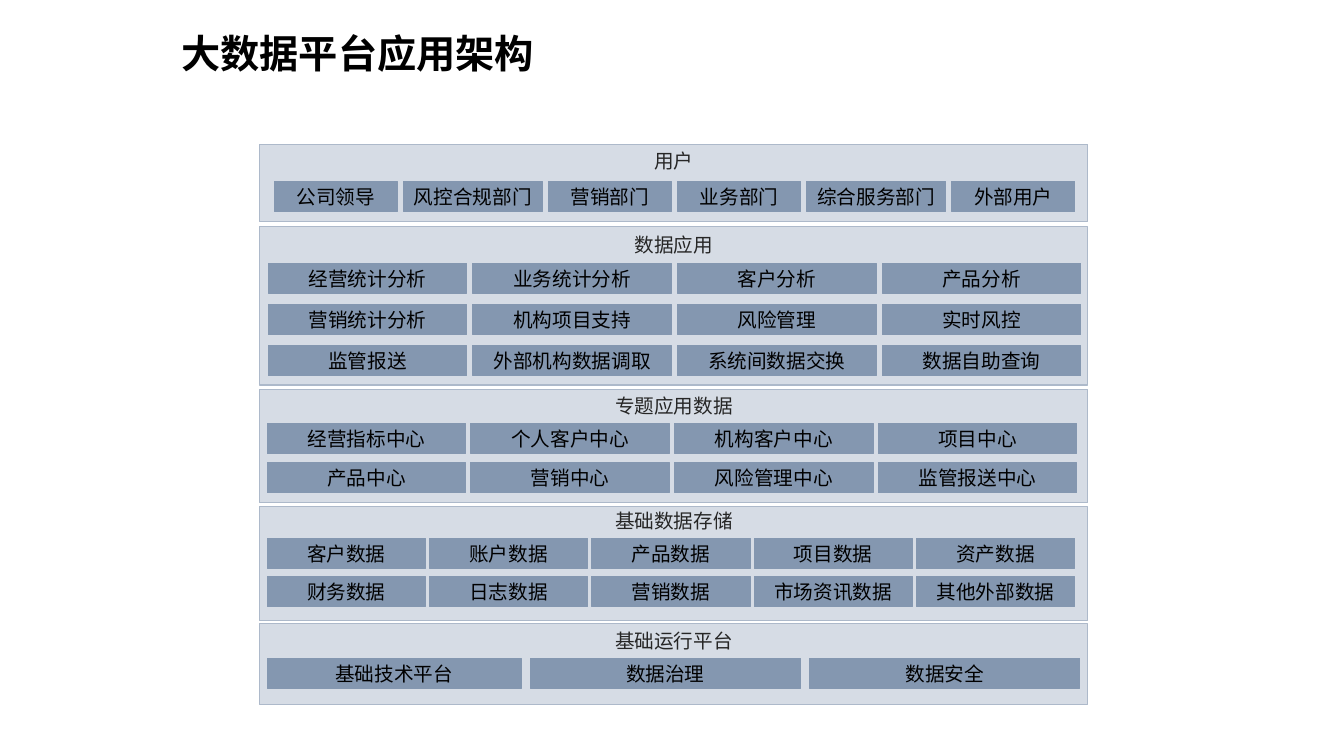
from dataclasses import dataclass

from lxml import etree
from pptx import Presentation
from pptx import util as u
from pptx.dml.color import RGBColor
from pptx.enum import shapes, text
from pptx.oxml import ns

FONT = "Noto Sans CJK SC"
BLACK = RGBColor(0x00, 0x00, 0x00)
DARK = RGBColor(0x26, 0x26, 0x26)
PALE = RGBColor(0xD6, 0xDC, 0xE5)
EDGE = RGBColor(0xAD, 0xB9, 0xCA)
STEEL = RGBColor(0x84, 0x97, 0xB0)

WIDE, HIGH = 13.33, 7.5
LEFT, SPAN = 2.57, 8.22
CELL = 0.3
HEAD = 0.34
MID = 6.685

TITLE = dict(size=u.Pt(28), bold=True)
BODY = dict(size=u.Pt(14), bold=False)


@dataclass(frozen=True)
class Band:
    name: str
    top: float
    high: float
    label: float
    left: float
    gap: float
    first: float
    pitch: float
    cols: tuple[float, ...]
    rows: tuple[str, ...]


BANDS = (
    Band("用户", 1.43, 0.77, 1.43, 2.72, 0.06, 1.8, 0,
         (1.22, 1.38, 1.22, 1.22, 1.38, 1.22),
         ("公司领导 风控合规部门 营销部门 业务部门 综合服务部门 外部用户",)),
    Band("数据应用", 2.25, 1.57, 2.26, 2.66, 0.06, 2.61, 0.41, (1.97,) * 4,
         ("经营统计分析 业务统计分析 客户分析 产品分析",
          "营销统计分析 机构项目支持 风险管理 实时风控",
          "监管报送 外部机构数据调取 系统间数据交换 数据自助查询")),
    Band("专题应用数据", 3.86, 1.13, 3.86, 2.65, 0.05, 4.2, 0.39, (1.97,) * 4,
         ("经营指标中心 个人客户中心 机构客户中心 项目中心",
          "产品中心 营销中心 风险管理中心 监管报送中心")),
    Band("基础数据存储", 5.03, 1.13, 5.0, 2.65, 0.04, 5.34, 0.38, (1.57,) * 5,
         ("客户数据 账户数据 产品数据 项目数据 资产数据",
          "财务数据 日志数据 营销数据 市场资讯数据 其他外部数据")),
    Band("基础运行平台", 6.19, 0.8, 6.19, 2.65, 0.09, 6.53, 0,
         (2.52, 2.68, 2.68), ("基础技术平台 数据治理 数据安全",)),
)


def write(shape, words: str, color: RGBColor, style: dict, align, anchor) -> None:
    frame = shape.text_frame
    frame.word_wrap = True
    frame.vertical_anchor = anchor
    para = frame.paragraphs[0]
    para.alignment = align
    run = para.add_run()
    run.text = words
    for key, val in dict(style, name=FONT).items():
        setattr(run.font, key, val)
    run.font.color.rgb = color
    east = etree.SubElement(run.font._element, ns.qn("a:ea"))
    east.set("typeface", FONT)


def block(group, x: float, y: float, w: float, h: float,
          fill: RGBColor, edge: RGBColor):
    box = group.shapes.add_shape(
        shapes.MSO_SHAPE.RECTANGLE, *map(u.Inches, (x, y, w, h)))
    box.shadow.inherit = False
    box.fill.solid()
    box.fill.fore_color.rgb = fill
    box.line.color.rgb = edge
    box.line.width = u.Pt(0.75)
    return box


def draw(slide, band: Band) -> None:
    group = slide.shapes.add_group_shape()
    block(group, LEFT, band.top, SPAN, band.high, PALE, EDGE)
    wide = 0.2 + len(band.name) * 0.28
    label = group.shapes.add_textbox(
        *map(u.Inches, (MID - wide / 2, band.label, wide, HEAD)))
    write(label, band.name, DARK, BODY,
          text.PP_ALIGN.CENTER, text.MSO_ANCHOR.TOP)
    for row, line in enumerate(band.rows):
        x = band.left
        for wide, words in zip(band.cols, line.split()):
            cell = block(group, x, band.first + row * band.pitch,
                         wide, CELL, STEEL, STEEL)
            write(cell, words, BLACK, BODY,
                  text.PP_ALIGN.CENTER, text.MSO_ANCHOR.MIDDLE)
            x += wide + band.gap


deck = Presentation()
deck.slide_width, deck.slide_height = u.Inches(WIDE), u.Inches(HIGH)
slide = deck.slides.add_slide(deck.slide_layouts.get_by_name("Title Only"))
title = slide.shapes.title
place = dict(left=1.7, top=0.24, width=7.41, height=0.57)
for key, val in place.items():
    setattr(title, key, u.Inches(val))
write(title, "大数据平台应用架构", BLACK, TITLE,
      text.PP_ALIGN.LEFT, text.MSO_ANCHOR.TOP)
for band in BANDS:
    draw(slide, band)
deck.save("out.pptx")
